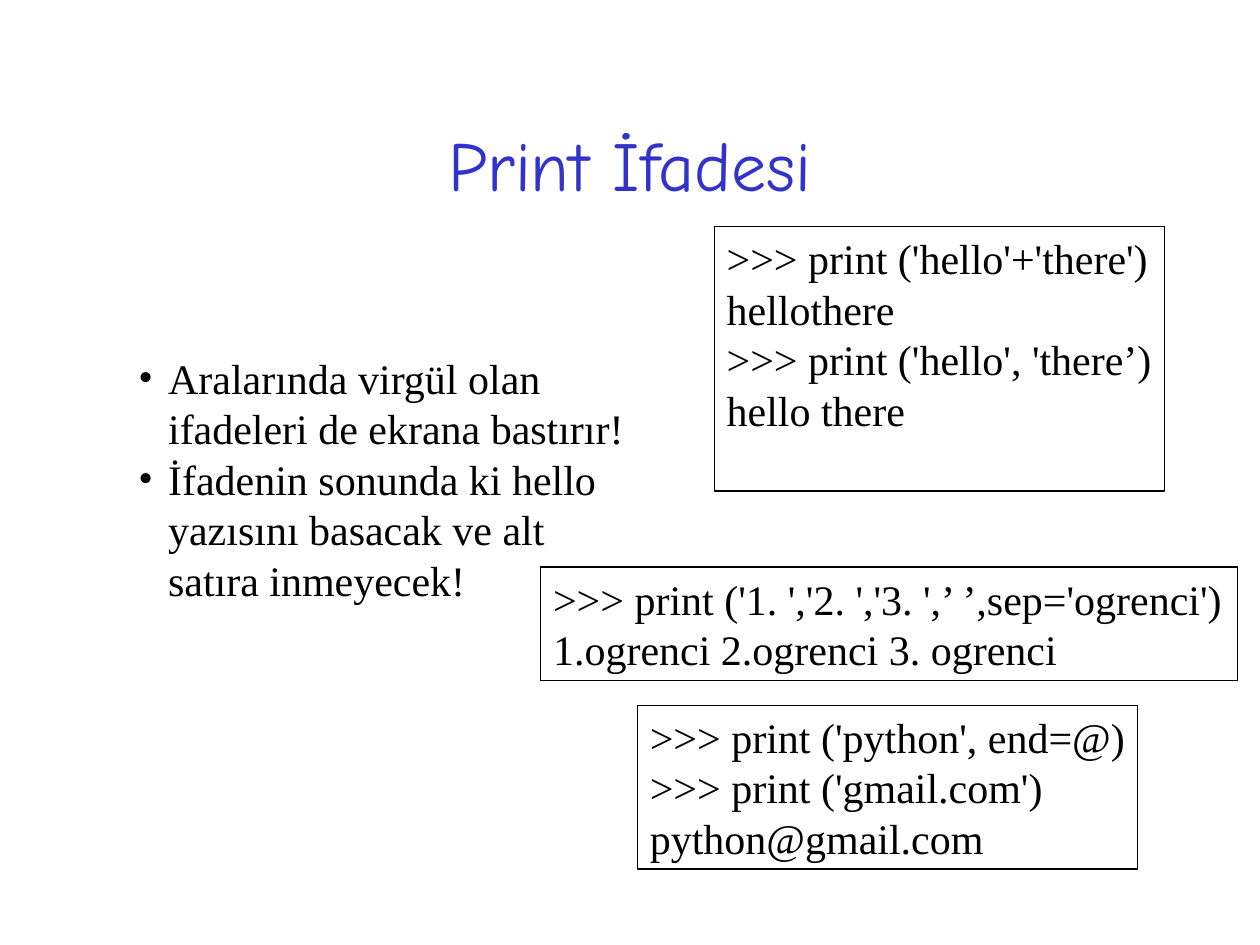
from lxml.etree import SubElement
from pptx import Presentation
from pptx.dml.color import RGBColor
from pptx.enum.shapes import MSO_SHAPE
from pptx.enum.text import MSO_ANCHOR, PP_ALIGN
from pptx.oxml.ns import qn
from pptx.util import Cm, Pt

COLORS = {"title": "3333CC", "text": "000000", "border": "000000"}


class SlideBuilder:
    """Draws the titled, bulleted and framed code elements of one slide."""

    body_font = "Times New Roman"
    title_font = "Comic Neue"
    body_size = 24
    title_size = 40
    line_pitch = 28.8

    def __init__(self, slide):
        self.slide = slide

    def color(self, name):
        return RGBColor.from_string(COLORS[name])

    def format_runs(self, paragraph, font_name, size, color):
        for run in paragraph.runs:
            run.font.name = font_name
            run.font.size = Pt(size)
            run.font.color.rgb = self.color(color)

    def text_box(self, left, top, width, height):
        return self.slide.shapes.add_textbox(Cm(left), Cm(top), Cm(width), Cm(height))

    def write_body(self, text_frame, lines):
        text_frame.text = "\n".join(lines)
        for paragraph in text_frame.paragraphs:
            paragraph.alignment = PP_ALIGN.LEFT
            paragraph.line_spacing = Pt(self.line_pitch)
            self.format_runs(paragraph, self.body_font, self.body_size, "text")

    def title(self, text, left, top, width, height):
        text_frame = self.text_box(left, top, width, height).text_frame
        text_frame.word_wrap = True
        text_frame.vertical_anchor = MSO_ANCHOR.MIDDLE
        text_frame.text = text
        paragraph = text_frame.paragraphs[0]
        paragraph.alignment = PP_ALIGN.CENTER
        self.format_runs(paragraph, self.title_font, self.title_size, "title")

    def bullets(self, items, left, top, width, height):
        text_frame = self.text_box(left, top, width, height).text_frame
        text_frame.word_wrap = True
        self.write_body(text_frame, items)
        indent = Cm(0.6)
        for paragraph in text_frame.paragraphs:
            properties = paragraph._p.get_or_add_pPr()
            properties.set("marL", str(indent))
            properties.set("indent", str(-indent))
            SubElement(properties, qn("a:buFont"), typeface=self.body_font)
            SubElement(properties, qn("a:buChar"), char="•")

    def code(self, lines, left, top, width, height):
        shape = self.slide.shapes.add_shape(
            MSO_SHAPE.RECTANGLE, Cm(left), Cm(top), Cm(width), Cm(height))
        shape.shadow.inherit = False
        shape.fill.background()
        shape.line.color.rgb = self.color("border")
        shape.line.width = Pt(0.75)
        text_frame = shape.text_frame
        text_frame.word_wrap = False
        text_frame.vertical_anchor = MSO_ANCHOR.TOP
        self.write_body(text_frame, lines)


def main():
    presentation = Presentation()
    presentation.slide_width = Cm(25.4)
    presentation.slide_height = Cm(19.05)
    builder = SlideBuilder(presentation.slides.add_slide(presentation.slide_layouts[6]))

    builder.title("Print İfadesi", 1.9, 1.7, 21.6, 3.18)
    builder.code([
        ">>> print ('hello'+'there')",
        "hellothere",
        ">>> print ('hello', 'there’)",
        "hello there",
    ], 14.4, 4.57, 9.07, 5.33)
    builder.bullets([
        "Aralarında virgül olan ifadeleri de ekrana bastırır!",
        "İfadenin sonunda ki hello yazısını basacak ve alt satıra inmeyecek!",
    ], 2.54, 6.98, 10.36, 5.33)
    builder.code([
        ">>> print ('1. ','2. ','3. ',’ ’,sep='ogrenci')",
        "1.ogrenci 2.ogrenci 3. ogrenci",
    ], 10.9, 11.43, 14.05, 2.29)
    builder.code([
        ">>> print ('python', end=@)",
        ">>> print ('gmail.com')",
        "python@gmail.com",
    ], 12.85, 14.22, 10.08, 3.3)

    presentation.save("out.pptx")


if __name__ == "__main__":
    main()
